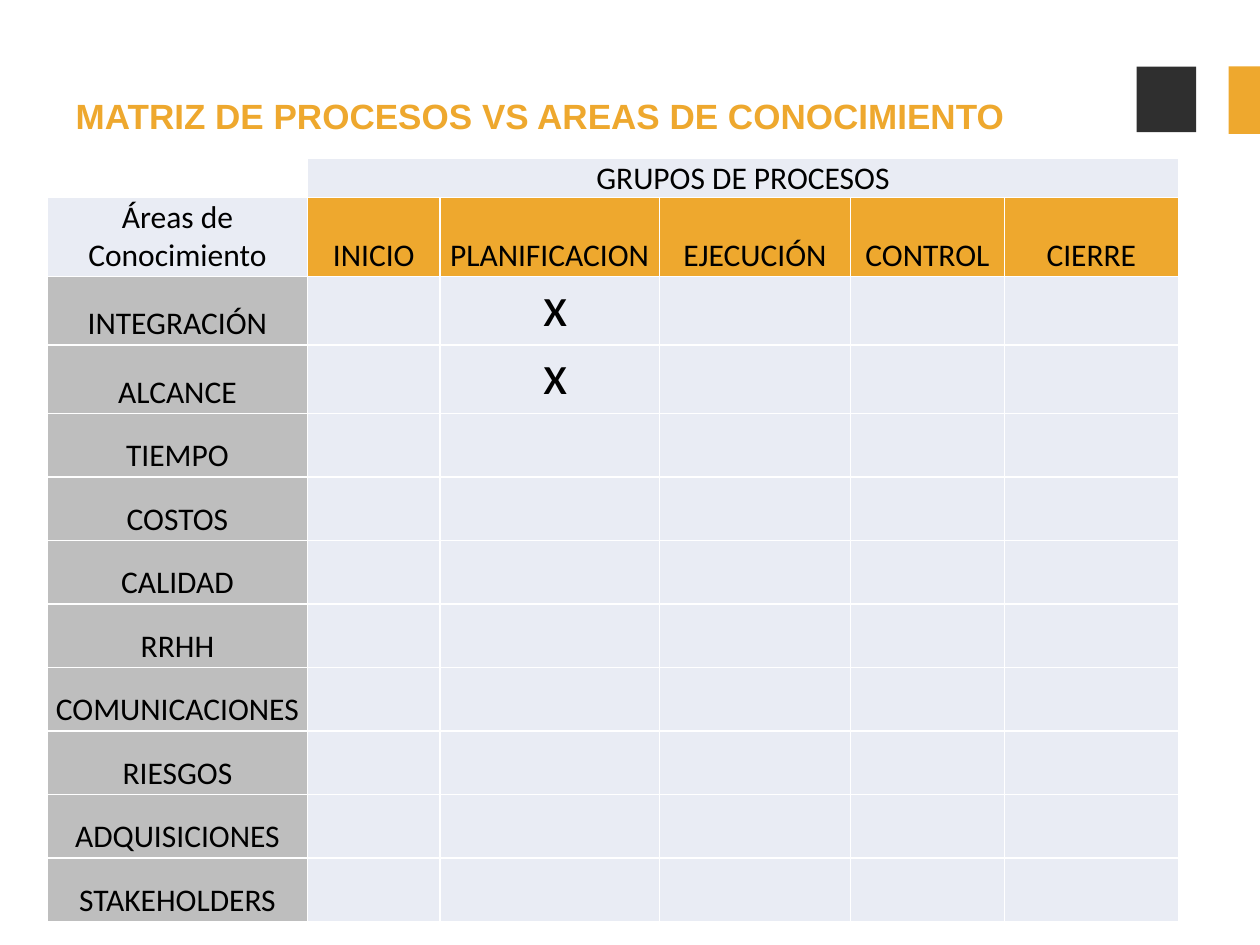
from dataclasses import dataclass

from lxml.etree import SubElement
from pptx import Presentation
from pptx.dml.color import RGBColor
from pptx.enum.shapes import MSO_SHAPE
from pptx.enum.text import MSO_ANCHOR, PP_ALIGN
from pptx.oxml.ns import qn
from pptx.slide import Slide
from pptx.util import Pt

AMBER = RGBColor(0xEE, 0xA8, 0x2E)
CHARCOAL = RGBColor(0x2F, 0x2F, 0x2F)
GREY = RGBColor(0xBE, 0xBE, 0xBE)
PALE = RGBColor(0xE9, 0xEC, 0xF4)
BLACK = RGBColor(0, 0, 0)
WHITE = RGBColor(0xFF, 0xFF, 0xFF)

PROCESS_GROUPS = ["INICIO", "PLANIFICACION", "EJECUCIÓN", "CONTROL", "CIERRE"]
AREAS = ["INTEGRACIÓN", "ALCANCE", "TIEMPO", "COSTOS", "CALIDAD", "RRHH",
         "COMUNICACIONES", "RIESGOS", "ADQUISICIONES", "STAKEHOLDERS"]
MARKS = {("INTEGRACIÓN", "PLANIFICACION"), ("ALCANCE", "PLANIFICACION")}
COLUMN_WIDTHS = [148.8, 75.6, 125.4, 109.3, 87.9, 99.5]
ROW_HEIGHTS = [22.2, 45.2, 39.1, 39.1] + [36.3] * 8


def write(frame, text, font="Calibri", size=18, color=BLACK, bold=False,
          align=PP_ALIGN.CENTER, before=0, line=None):
    """Put text in a frame, one paragraph for each line."""
    frame.text = text
    for paragraph in frame.paragraphs:
        paragraph.alignment = align
        paragraph.space_before = Pt(before)
        if line:
            paragraph.line_spacing = Pt(line)
        paragraph.font.name = font
        paragraph.font.size = Pt(size)
        paragraph.font.bold = bold
        paragraph.font.color.rgb = color
        for run in paragraph.runs:
            run.font.name = font
            run.font.size = Pt(size)
            run.font.bold = bold
            run.font.color.rgb = color


@dataclass
class MatrixSlide:
    """Holds the slide and its style, and draws each kind of element."""

    slide: Slide
    heading_font: str = "Arial"
    accent: RGBColor = AMBER
    border: RGBColor = WHITE

    def title(self, text, left, top, width, height):
        """Place the title in its placeholder."""
        heading = self.slide.shapes.title
        heading.left, heading.top = Pt(left), Pt(top)
        heading.width, heading.height = Pt(width), Pt(height)
        frame = heading.text_frame
        frame.margin_left = frame.margin_top = Pt(0.8)
        frame.margin_right = frame.margin_bottom = 0
        frame.vertical_anchor = MSO_ANCHOR.TOP
        frame.word_wrap = True
        write(frame, text, font=self.heading_font, size=20, color=self.accent,
              bold=True, align=PP_ALIGN.LEFT, before=1.1)

    def block(self, left, top, width, height, color):
        """Draw a plain filled rectangle."""
        block = self.slide.shapes.add_shape(
            MSO_SHAPE.RECTANGLE, Pt(left), Pt(top), Pt(width), Pt(height))
        block.shadow.inherit = False
        block.fill.solid()
        block.fill.fore_color.rgb = color
        block.line.fill.background()

    def table(self, left, top, widths, heights):
        """Add a bare table with the given column widths and row heights."""
        frame = self.slide.shapes.add_table(
            len(heights), len(widths), Pt(left), Pt(top),
            Pt(sum(widths)), Pt(sum(heights)))
        grid = frame.table
        grid.first_row = grid.horz_banding = False
        for column, width in zip(grid.columns, widths):
            column.width = Pt(width)
        for row, height in zip(grid.rows, heights):
            row.height = Pt(height)
        return grid

    def cell(self, cell, text="", fill=None, bottom=1, left=0,
             anchor=MSO_ANCHOR.BOTTOM, **style):
        """Fill, border and write one table cell."""
        cell.margin_left, cell.margin_bottom = Pt(left), Pt(bottom)
        cell.margin_right = cell.margin_top = 0
        cell.vertical_anchor = anchor
        write(cell.text_frame, text, **style)
        properties = cell._tc.get_or_add_tcPr()
        for edge in ("a:lnL", "a:lnR", "a:lnT", "a:lnB"):
            line = SubElement(properties, qn(edge), w=str(Pt(1)))
            solid = SubElement(line, qn("a:solidFill"))
            SubElement(solid, qn("a:srgbClr"), val=str(self.border))
        if fill is None:
            cell.fill.background()
        else:
            cell.fill.solid()
            cell.fill.fore_color.rgb = fill

    def matrix(self, left, top):
        """Cross the knowledge areas with the process groups."""
        grid = self.table(left, top, COLUMN_WIDTHS, ROW_HEIGHTS)
        last = len(PROCESS_GROUPS)
        self.cell(grid.cell(0, 0), bottom=0)
        for column in range(1, last + 1):
            caption = "GRUPOS DE PROCESOS" if column == 1 else ""
            self.cell(grid.cell(0, column), caption, PALE, bottom=0, line=21.1)
        grid.cell(0, 1).merge(grid.cell(0, last))
        self.cell(grid.cell(1, 0), "Áreas de\nConocimiento", PALE)
        for column, group in enumerate(PROCESS_GROUPS, 1):
            self.cell(grid.cell(1, column), group, self.accent)
        for row, area in enumerate(AREAS, 2):
            self.cell(grid.cell(row, 0), area, GREY)
            for column, group in enumerate(PROCESS_GROUPS, 1):
                if (area, group) in MARKS:
                    self.cell(grid.cell(row, column), "x", PALE, bottom=0, left=7,
                              anchor=MSO_ANCHOR.TOP, size=32, line=37)
                else:
                    self.cell(grid.cell(row, column), fill=PALE)


deck = Presentation()
deck.slide_width, deck.slide_height = Pt(720), Pt(540)
page = MatrixSlide(deck.slides.add_slide(deck.slide_layouts[5]))
page.block(649.5, 38, 34, 37.5, CHARCOAL)
page.block(702, 38, 18, 38.6, page.accent)
page.matrix(27, 90.7)
page.title("MATRIZ DE PROCESOS VS AREAS DE CONOCIMIENTO", 42.5, 53.3, 532, 26)
deck.save("out.pptx")
